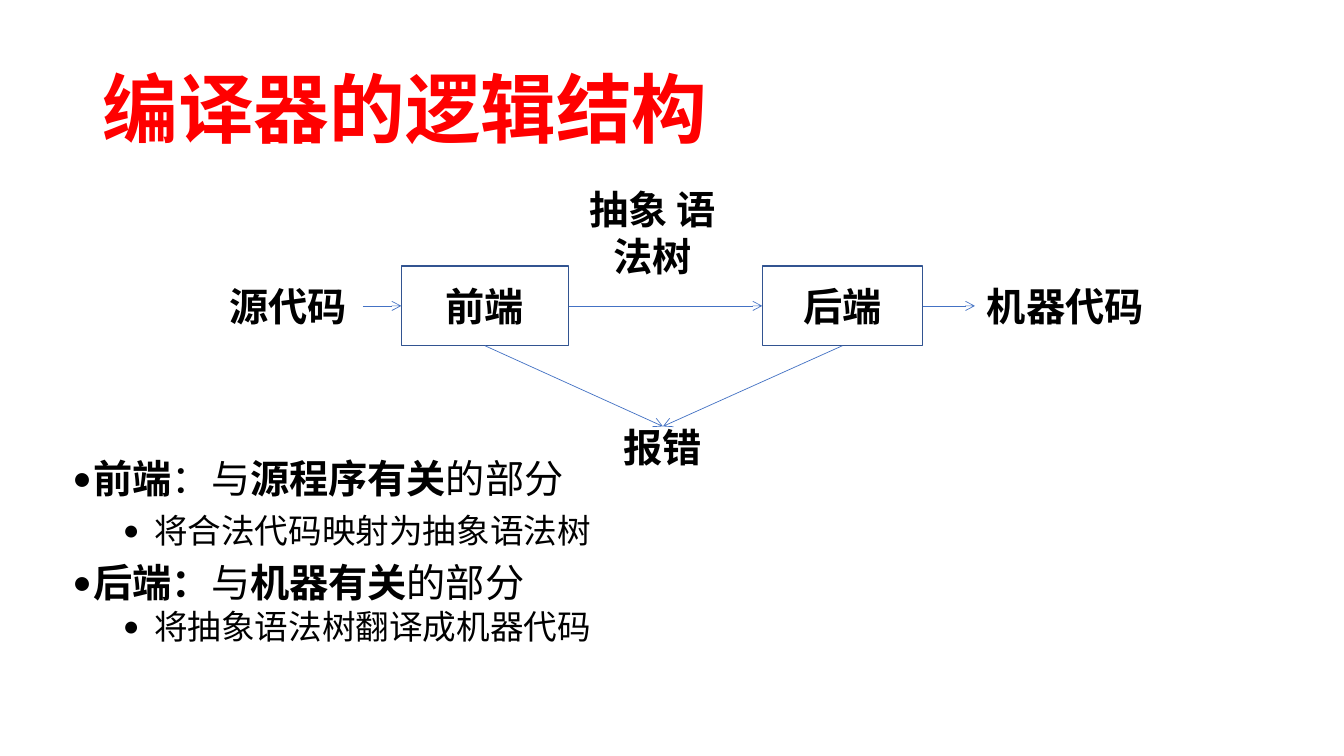
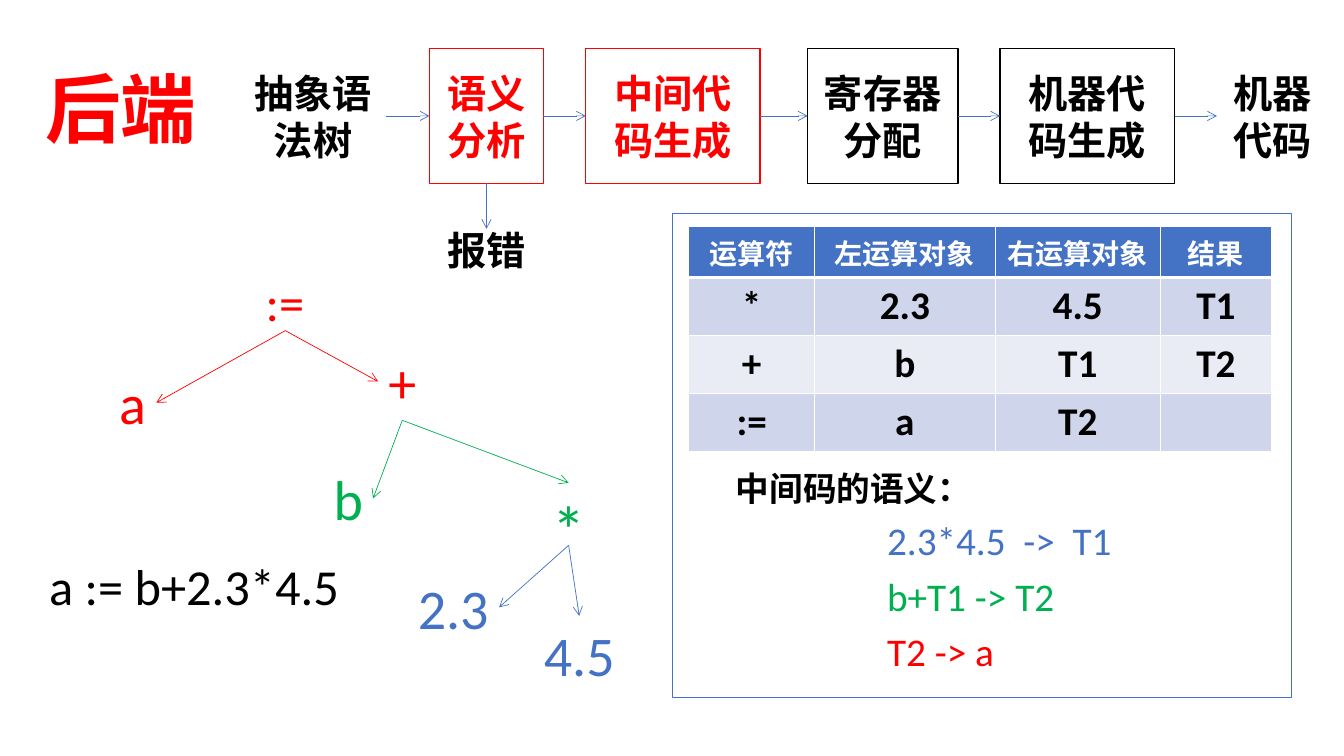
from itertools import pairwise

from lxml.etree import SubElement
from pptx import Presentation
from pptx.dml.color import RGBColor
from pptx.enum.shapes import MSO_CONNECTOR as Connector, MSO_SHAPE as Preset
from pptx.enum.text import MSO_ANCHOR as Anchor, PP_ALIGN as Align
from pptx.oxml.ns import qn
from pptx.util import Emu, Pt

# Shared look
SCALE = 9144  # EMU in one px, 100 px to the inch
CJK, LATIN, LABEL = "Noto Sans CJK SC", "Calibri", "Lato"
RED, GREEN, BLUE, NAVY = "FF0000", "00B050", "4472C4", "325491"
BLACK, WHITE = "000000", "FFFFFF"
BANDS = ("CFD5EA", "E9EBF5")
TOP, LEFT, BOTTOM, RIGHT = range(4)  # connection sites of a rectangle
CENTERED = {"alignment": Align.CENTER}
SPACED = {"space_after": Pt(6)}


def px(length):
    return Emu(length * SCALE)


def rgb(value):
    return RGBColor.from_string(value)


def set_all(target, values):
    for name, value in values.items():
        setattr(target, name, value)


# Text
def add_run(paragraph, text, size, color=BLACK, bold=False, font=CJK):
    run = paragraph.add_run()
    run.text = text
    set_all(run.font, {"size": Pt(size), "bold": bold, "name": font})
    run.font.color.rgb = rgb(color)
    east_asian = SubElement(run.font._element, qn("a:ea"))
    east_asian.set("typeface", CJK if font == LATIN else font)


def indent(paragraph, margin, hanging=0, bullet=None):
    properties = paragraph._p.get_or_add_pPr()
    properties.set("marL", str(px(margin)))
    properties.set("indent", str(px(-hanging)))
    if bullet:
        SubElement(properties, qn("a:buFont")).set("typeface", LATIN)
        SubElement(properties, qn("a:buChar")).set("char", bullet)


def next_paragraph(frame, values):
    first = frame.paragraphs[0]
    paragraph = frame.add_paragraph() if first.runs else first
    set_all(paragraph, values)
    return paragraph


def add_text_box(slide, box, wrap=True, anchor=Anchor.TOP):
    shape = slide.shapes.add_textbox(*map(px, box))
    set_all(shape.text_frame, {"word_wrap": wrap, "vertical_anchor": anchor})
    return shape


def add_title(slide, left, text, font):
    shape = add_text_box(slide, (left, 40, 1150, 145), anchor=Anchor.MIDDLE)
    paragraph = next_paragraph(shape.text_frame, {"line_spacing": 0.9})
    add_run(paragraph, text, 54, RED, True, font)


# Boxes and arrows
def add_rectangle(slide, box, outline, fill=None, width=1):
    shape = slide.shapes.add_shape(Preset.RECTANGLE, *map(px, box))
    shape.shadow.inherit = False
    if fill:
        shape.fill.solid()
        shape.fill.fore_color.rgb = rgb(fill)
    else:
        shape.fill.background()
    shape.line.color.rgb = rgb(outline)
    shape.line.width = Pt(width)
    return shape


def add_label(slide, box, text, outline=WHITE, color=BLACK, font=LABEL):
    shape = add_rectangle(slide, box, outline, WHITE)
    set_all(shape.text_frame, {"word_wrap": True, "vertical_anchor": Anchor.MIDDLE})
    add_run(next_paragraph(shape.text_frame, CENTERED), text, 28, color, True, font)
    return shape


def add_arrow(slide, start, target, site, color=BLUE):
    """Start is a (shape, site) pair or an (x, y) point."""
    free = isinstance(start[0], int)
    origin = [px(value) for value in start] if free else [0, 0]
    arrow = slide.shapes.add_connector(Connector.STRAIGHT, *origin, *origin)
    if not free:
        arrow.begin_connect(*start)
    arrow.end_connect(target, site)
    arrow.line.color.rgb = rgb(color)
    arrow.line.width = Pt(0.5)
    SubElement(arrow.line._get_or_add_ln(), qn("a:tailEnd")).set("type", "arrow")
    SubElement(arrow._element.spPr, qn("a:effectLst"))


# Table
def add_border(cell, side, width):
    border = SubElement(cell._tc.get_or_add_tcPr(), qn(f"a:ln{side}"))
    border.set("w", str(Pt(width)))
    fill = SubElement(border, qn("a:solidFill"))
    SubElement(fill, qn("a:srgbClr")).set("val", WHITE)


def add_grid(slide, left, top, widths, heights, rows):
    table = slide.shapes.add_table(
        len(rows), len(widths), px(left), px(top), px(sum(widths)), px(sum(heights))
    ).table
    for column, width in zip(table.columns, widths):
        column.width = px(width)
    for index, (row, height, texts) in enumerate(zip(table.rows, heights, rows)):
        row.height = px(height)
        header = index == 0
        style = (20, WHITE, True, CJK) if header else (28, BLACK, True, LATIN)
        for cell, text in zip(row.cells, texts):
            for side in "LRTB":
                heavy = (side == "B" and header) or (side == "T" and index == 1)
                add_border(cell, side, 3 if heavy else 1)
            cell.fill.solid()
            cell.fill.fore_color.rgb = rgb(BLUE if header else BANDS[(index - 1) % 2])
            if text:
                add_run(next_paragraph(cell.text_frame, CENTERED), text, *style)


# Slide 1: logical structure
def build_structure(slide):
    add_title(slide, 92, "编译器的逻辑结构", CJK)

    # Explanation of both ends
    outline = [
        (0, 6, [("前端", True, CJK), ("：与", False, CJK),
                ("源程序有关", True, CJK), ("的部分", False, CJK)]),
        (1, 6, [("将合法代码映射为", False, CJK), ("抽象语法树", False, LABEL)]),
        (0, 0, [("后端：", True, CJK), ("与", False, CJK),
                ("机器有关", True, CJK), ("的部分", False, CJK)]),
        (1, 0, [("将", False, CJK), ("抽象语法树", False, LABEL),
                ("翻译成机器代码", False, CJK)]),
    ]
    frame = add_text_box(slide, (62, 446, 687, 209)).text_frame
    for level, after, runs in outline:
        paragraph = next_paragraph(frame, {"level": level, "space_after": Pt(after)})
        indent(paragraph, *((81, 31) if level else (21, 21)), "•")
        for text, bold, font in runs:
            add_run(paragraph, text, 24 if level else 28, BLACK, bold, font)

    # Pipeline and error report
    stages = [
        add_label(slide, (left, 264, width, 79), text, line)
        for text, left, width, line in [
            ("源代码", 211, 149, WHITE), ("前端", 398, 166, NAVY),
            ("后端", 756, 159, NAVY), ("机器代码", 967, 179, WHITE),
        ]
    ]
    error = add_label(slide, (567, 423, 181, 40), "报错")
    for before, after in pairwise(stages):
        add_arrow(slide, (before, RIGHT), after, LEFT)
    for stage in stages[1:3]:
        add_arrow(slide, (stage, BOTTOM), error, TOP)

    caption = add_text_box(slide, (573, 179, 149, 104)).text_frame
    add_run(next_paragraph(caption, CENTERED), "抽象 语法树", 28, bold=True)


# Slide 2: back end
def add_tree(slide):
    nodes = {}
    for text, box, size, color in [
        (":=", (253, 264, 59, 71), 36, RED),
        ("a", (108, 361, 47, 77), 40, RED),
        ("+", (375, 340, 48, 77), 40, RED),
        ("b", (321, 456, 49, 77), 40, GREEN),
        ("*", (537, 479, 54, 91), 48, GREEN),
        ("2.3", (404, 564, 91, 77), 40, BLUE),
        ("4.5", (529, 611, 91, 77), 40, BLUE),
    ]:
        nodes[text] = add_text_box(slide, box, wrap=False)
        paragraph = next_paragraph(nodes[text].text_frame, CENTERED | SPACED)
        add_run(paragraph, text, size, color, font=LATIN)
    for start, color, children in [
        ((283, 328), RED, [("a", RIGHT), ("+", LEFT)]),
        ((nodes["+"], BOTTOM), GREEN, [("b", RIGHT), ("*", TOP)]),
        ((564, 541), BLUE, [("2.3", RIGHT), ("4.5", TOP)]),
    ]:
        for child, site in children:
            add_arrow(slide, start, nodes[child], site, color)


def build_back_end(slide):
    # Intermediate code panel
    add_rectangle(slide, (667, 212, 614, 480), BLUE)
    add_grid(slide, 683, 225, [125, 179, 164, 110], [48, 54, 54, 54], [
        ("运算符", "左运算对象", "右运算对象", "结果"),
        ("*", "2.3", "4.5", "T1"),
        ("+", "b", "T1", "T2"),
        (":=", "a", "T2", ""),
    ])
    meaning = add_text_box(slide, (720, 459, 493, 217)).text_frame
    add_run(next_paragraph(meaning, SPACED), "中间码的语义：", 24, bold=True, font=LATIN)
    for text, color in [
        ("2.3*4.5  ->  T1", BLUE), ("b+T1 -> T2", GREEN), ("T2 -> a", RED)
    ]:
        paragraph = next_paragraph(meaning, SPACED | {"level": 3})
        indent(paragraph, 150)
        add_run(paragraph, text, 28, color, font=LATIN)

    # Syntax tree and its statement
    add_tree(slide)
    statement = add_rectangle(slide, (38, 545, 309, 71), WHITE, width=0.75)
    statement.text_frame.word_wrap = True
    paragraph = next_paragraph(statement.text_frame, CENTERED)
    add_run(paragraph, "a := b+2.3*4.5", 36, font=LATIN)

    # Pipeline
    add_title(slide, 35, "后端", LATIN)
    stages = [
        add_label(slide, (left, 48, width, 134), text, line, color, LATIN)
        for text, left, width, line, color in [
            ("抽象语法树", 238, 145, WHITE, BLACK),
            ("语义分析", 426, 113, RED, RED),
            ("中间代码生成", 581, 173, RED, RED),
            ("寄存器分配", 801, 149, BLACK, BLACK),
            ("机器代码生成", 992, 173, BLACK, BLACK),
            ("机器代码", 1207, 111, WHITE, BLACK),
        ]
    ]
    for before, after in pairwise(stages):
        add_arrow(slide, (before, RIGHT), after, LEFT)
    error = add_label(slide, (426, 227, 113, 42), "报错", font=LATIN)
    add_arrow(slide, (stages[1], BOTTOM), error, TOP)


def main():
    presentation = Presentation()
    set_all(presentation, {"slide_width": px(1333), "slide_height": px(750)})
    for build in (build_structure, build_back_end):
        build(presentation.slides.add_slide(presentation.slide_layouts[6]))
    presentation.save("out.pptx")


if __name__ == "__main__":
    main()
